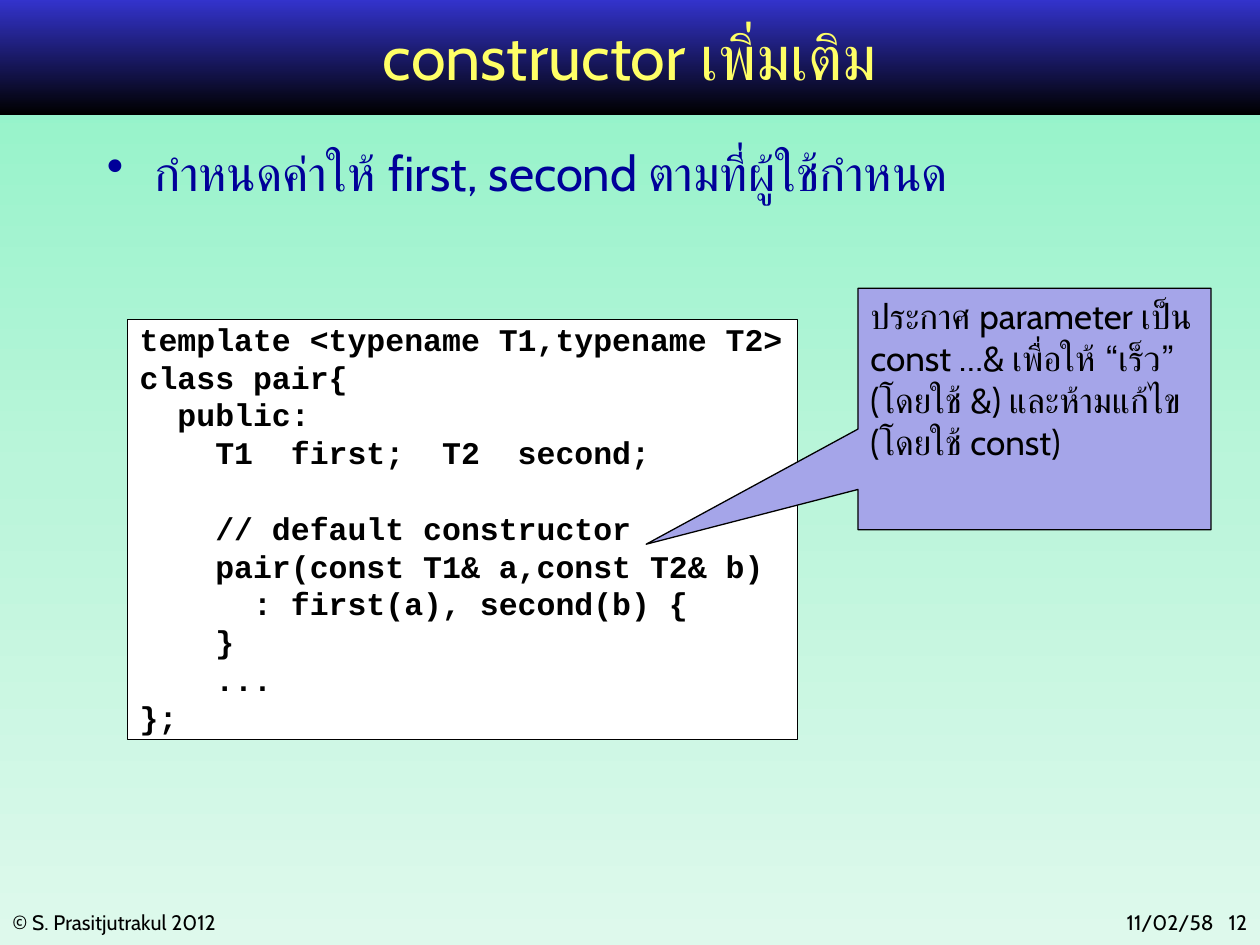
import copy

import lxml.etree
import pptx
import pptx.dml.color
import pptx.enum.shapes
import pptx.enum.text
import pptx.oxml.ns
import pptx.util

Pt = pptx.util.Pt
RGBColor = pptx.dml.color.RGBColor
SHAPE = pptx.enum.shapes.MSO_SHAPE
ALIGN = pptx.enum.text.PP_ALIGN
ANCHOR = pptx.enum.text.MSO_ANCHOR
FIT = pptx.enum.text.MSO_AUTO_SIZE.SHAPE_TO_FIT_TEXT
qn = pptx.oxml.ns.qn

BLACK = RGBColor(0x00, 0x00, 0x00)
WHITE = RGBColor(0xFF, 0xFF, 0xFF)
BLUE = RGBColor(0x33, 0x33, 0xCC)
NAVY = RGBColor(0x00, 0x00, 0x99)
YELLOW = RGBColor(0xFF, 0xFF, 0x66)
LILAC = RGBColor(0xA5, 0xA5, 0xE9)
MINT = RGBColor(0x8C, 0xF2, 0xC6)
PALE = RGBColor(0xBA, 0xF5, 0xDA)
LIGHT = RGBColor(0xDE, 0xF9, 0xEC)

TITLE = {"name": "Cabin", "size": Pt(36)}
BODY = {"name": "Cabin", "size": Pt(28)}
NOTE = {"name": "Cabin", "size": Pt(20)}
FOOT = {"name": "Cabin", "size": Pt(12)}
MONO = {"name": "Courier New", "size": Pt(18), "bold": True}

CODE = """template <typename T1,typename T2>
class pair{
  public:
    T1  first;  T2  second;
    
    // default constructor
    pair(const T1& a,const T2& b)
      : first(a), second(b) {
    }
    ...
};"""


def set_all(thing, values):
    for name, value in values.items():
        setattr(thing, name, value)


def shade(fill, colors):
    fill.gradient()
    fill.gradient_angle = 270
    for stop, color in zip(fill.gradient_stops, colors):
        stop.color.rgb = color


def paint_back(slide):
    fill = slide.background.fill
    shade(fill, (MINT, LIGHT))
    stops = slide.element.find(".//" + qn("a:gsLst"))
    stops.insert(1, copy.deepcopy(stops[0]))
    middle = fill.gradient_stops[1]
    middle.position = 0.5
    middle.color.rgb = PALE


def write(shape, text, style, color, align=ALIGN.LEFT, **frame):
    body = shape.text_frame
    set_all(body, {"word_wrap": True, "vertical_anchor": ANCHOR.TOP, **frame})
    body.text = text
    for line in body.paragraphs:
        line.alignment = align
        for run in line.runs:
            set_all(run.font, style)
            run.font.color.rgb = color


def add_text(slide, place, *text, **frame):
    box = slide.shapes.add_textbox(*map(Pt, place))
    write(box, *text, **frame)
    return box


def add_box(slide, kind, place, color):
    box = slide.shapes.add_shape(kind, *map(Pt, place))
    box.shadow.inherit = False
    box.fill.solid()
    box.fill.fore_color.rgb = color
    box.line.color.rgb = BLACK
    box.line.width = Pt(0.75)
    return box


def add_bar(slide):
    bar = add_box(slide, SHAPE.RECTANGLE, (0, 0, 720, 65.5), BLACK)
    bar.line.fill.background()
    shade(bar.fill, (BLUE, BLACK))


def add_dot(box):
    props = box.text_frame.paragraphs[0]._p.get_or_add_pPr()
    props.set("marL", str(Pt(27)))
    props.set("indent", str(-Pt(27)))
    lxml.etree.SubElement(props, qn("a:buChar"), char="•")


def add_tabs(box, *stops):
    props = box.text_frame.paragraphs[0]._p.get_or_add_pPr()
    tabs = lxml.etree.SubElement(props, qn("a:tabLst"))
    for stop in stops:
        lxml.etree.SubElement(tabs, qn("a:tab"), pos=str(Pt(stop)), algn="r")


def main():
    deck = pptx.Presentation()
    set_all(deck, {"slide_width": Pt(720), "slide_height": Pt(540)})
    slide = deck.slides.add_slide(deck.slide_layouts[6])
    paint_back(slide)
    add_bar(slide)

    add_text(slide, (0, 516, 234, 22), "© S. Prasitjutrakul 2012", FOOT, BLACK, auto_size=FIT)
    date = add_text(slide, (564, 516, 156, 22), "\t11/02/58\t12", FOOT, BLACK, auto_size=FIT)
    add_tabs(date, 122.5, 141.5)

    add_text(slide, (54, 1.5, 612, 60), "constructor เพิ่มเติม", TITLE, YELLOW,
             ALIGN.CENTER, vertical_anchor=ANCHOR.MIDDLE)
    point = add_text(slide, (54, 78, 612, 402),
                     "กำหนดค่าให้ first, second ตามที่ผู้ใช้กำหนด", BODY, NAVY)
    add_dot(point)

    code = add_box(slide, SHAPE.RECTANGLE, (72.75, 182.75, 383, 240), WHITE)
    write(code, CODE, MONO, BLACK, margin_top=0, margin_bottom=0, auto_size=FIT)

    note = add_box(slide, SHAPE.RECTANGULAR_CALLOUT, (490.25, 164.75, 201.75, 138), LILAC)
    note.adjustments[0] = -1.1
    note.adjustments[1] = 0.56
    write(note, "ประกาศ parameter เป็น const …& เพื่อให้ “เร็ว” (โดยใช้ &) "
          "และห้ามแก้ไข (โดยใช้ const)", NOTE, BLACK)
    deck.save("out.pptx")


if __name__ == "__main__":
    main()
